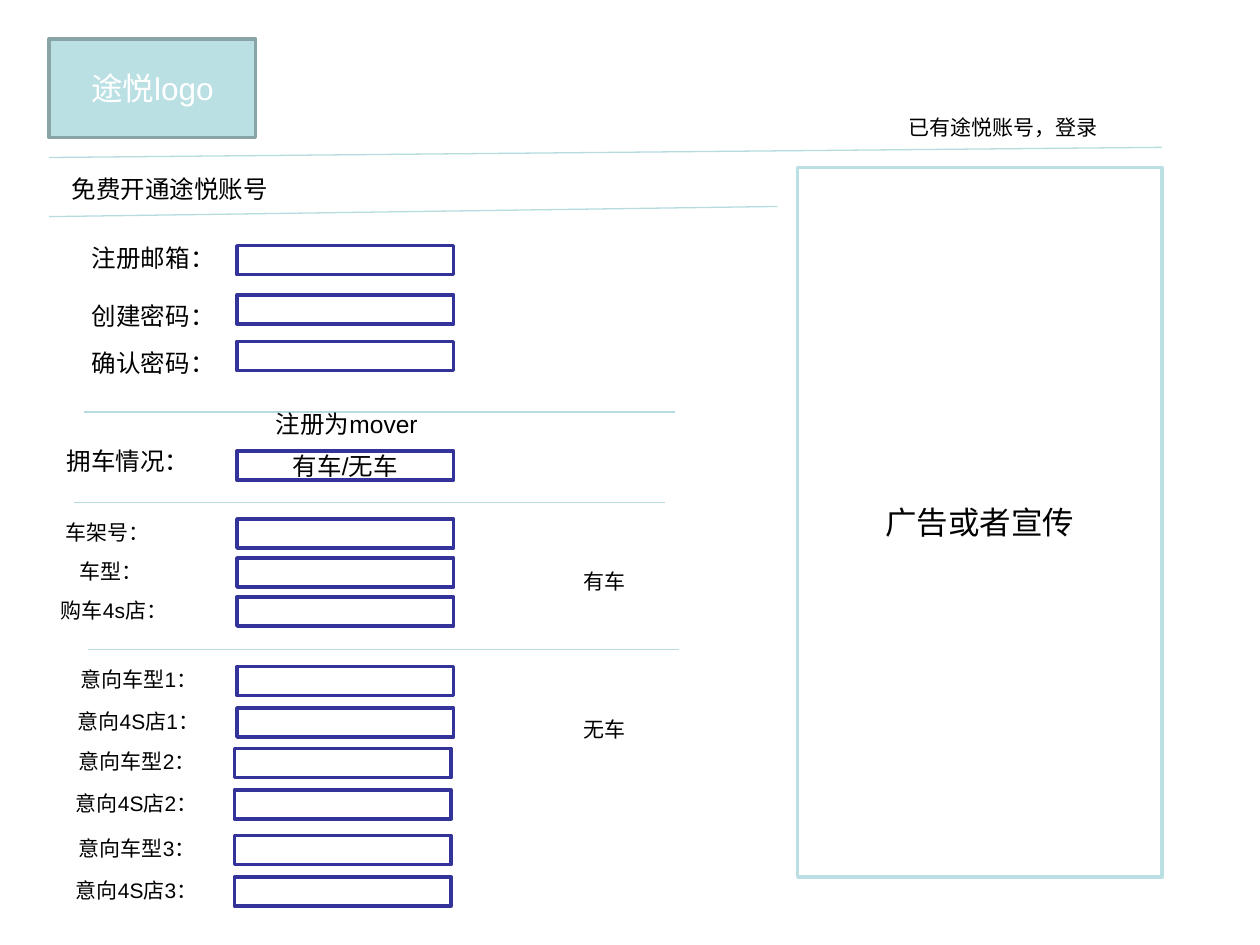
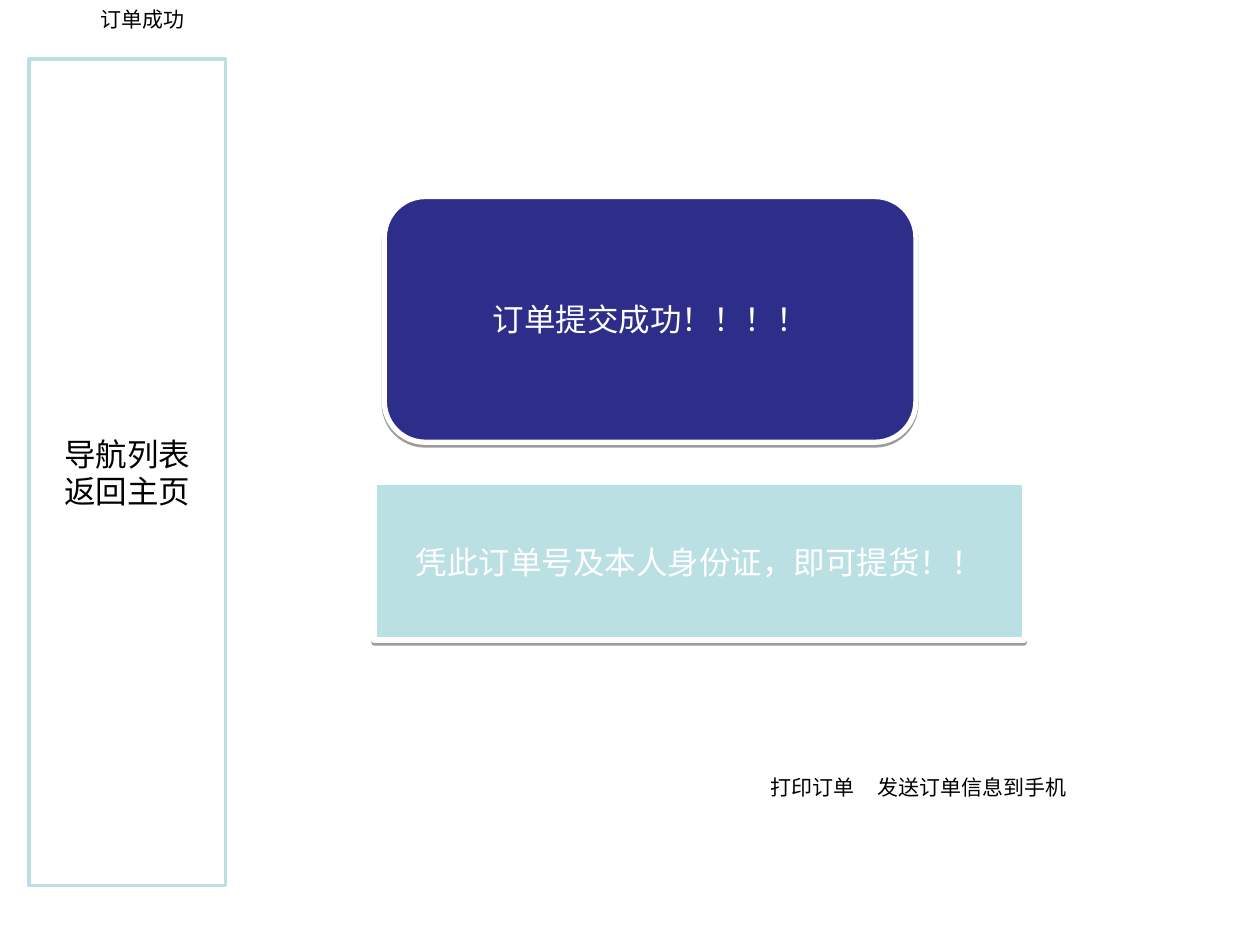
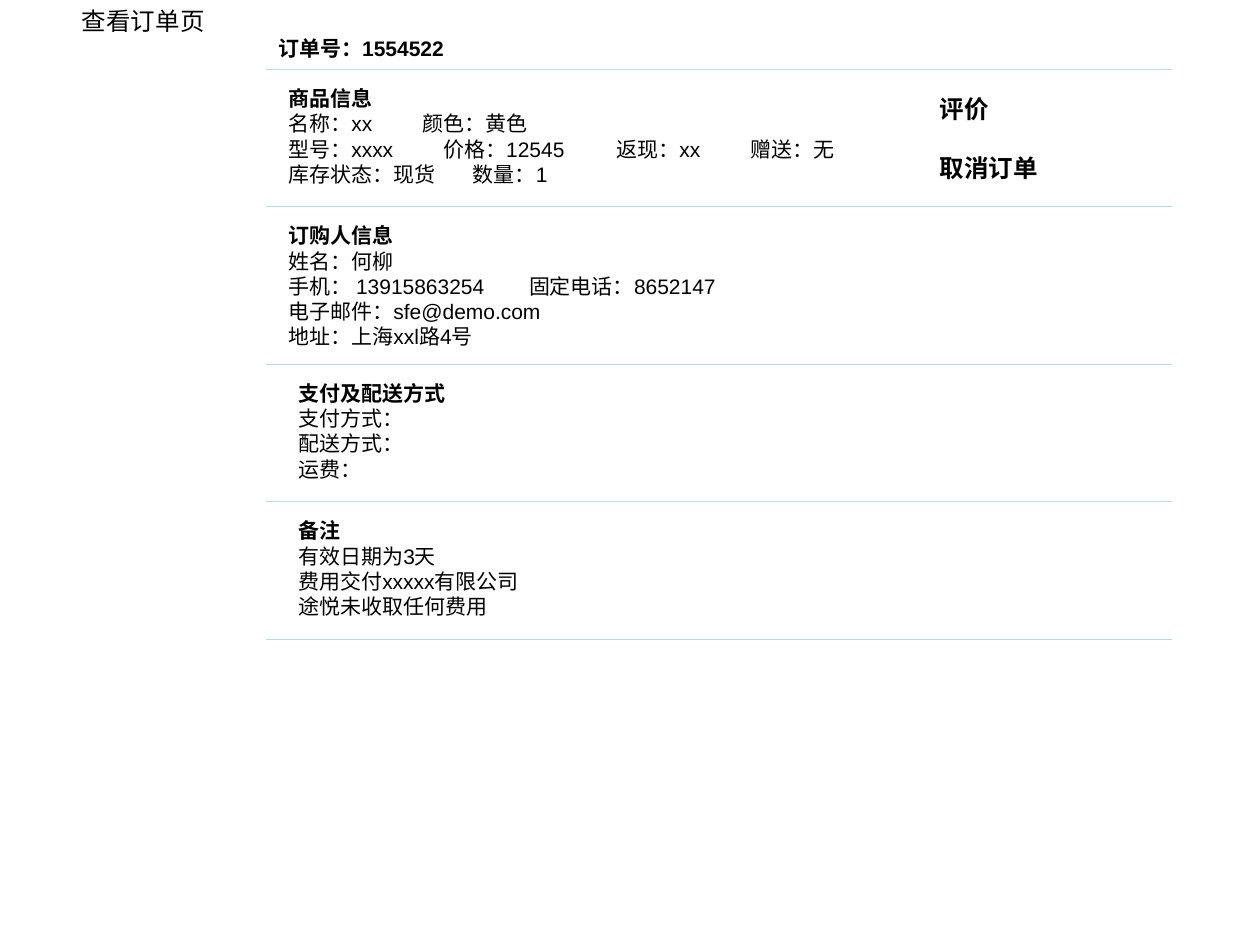
from lxml import etree
from pptx import Presentation
from pptx.dml.color import RGBColor
from pptx.enum import shapes, text as text_enum
from pptx.oxml import ns
from pptx.util import Pt

BLACK = RGBColor(0, 0, 0)
WHITE = RGBColor(255, 255, 255)
AQUA = RGBColor(0xBB, 0xE0, 0xE3)
AQUA_EDGE = RGBColor(0x89, 0xA4, 0xA7)
AQUA_LINE = RGBColor(0xB6, 0xDC, 0xDF)
INDIGO = RGBColor(0x33, 0x33, 0x99)
NAVY = RGBColor(0x2D, 0x2D, 0x8A)
FONT = "Arial"
RECTANGLE = shapes.MSO_SHAPE.RECTANGLE
ROUNDED = shapes.MSO_SHAPE.ROUNDED_RECTANGLE
FIELD_LEFT, FIELD_WIDTH, FIELD_HEIGHT = 135.4, 123.8, 16.6


def add_tabs(paragraph, positions):
    properties = paragraph._p.get_or_add_pPr()
    tab_list = etree.SubElement(properties, ns.qn("a:tabLst"))
    for position in positions:
        etree.SubElement(tab_list, ns.qn("a:tab"), pos=str(Pt(position)), algn="l")


def write_text(frame, text, size=12, color=BLACK, bold=False, heading=False,
               align=text_enum.PP_ALIGN.LEFT, anchor=text_enum.MSO_ANCHOR.TOP,
               gap=0, tabs=None):
    frame.word_wrap = True
    frame.auto_size = text_enum.MSO_AUTO_SIZE.NONE
    frame.vertical_anchor = anchor
    for index, line in enumerate(text.split("\n")):
        paragraph = frame.add_paragraph() if index else frame.paragraphs[0]
        if tabs and index in tabs:
            add_tabs(paragraph, tabs[index])
        paragraph.alignment = align
        if index and gap:
            paragraph.space_before = Pt(gap)
        run = paragraph.add_run()
        run.text = line
        run.font.name = FONT
        run.font.size = Pt(size)
        run.font.bold = bold or (heading and index == 0)
        run.font.color.rgb = color


def add_label(slide, left, top, width, height, text, **style):
    box = slide.shapes.add_textbox(Pt(left), Pt(top), Pt(width), Pt(height))
    write_text(box.text_frame, text, **style)


def add_title_slide(presentation, text, left, top, width, height, size):
    slide = presentation.slides.add_slide(presentation.slide_layouts[5])
    title = slide.shapes.title
    title.left, title.top = Pt(left), Pt(top)
    title.width, title.height = Pt(width), Pt(height)
    write_text(title.text_frame, text, size=size)
    return slide


def add_panel(slide, left, top, width, height, text="", kind=RECTANGLE,
              fill=WHITE, line=AQUA, weight=2, size=18, color=BLACK):
    shape = slide.shapes.add_shape(kind, Pt(left), Pt(top), Pt(width), Pt(height))
    shape.shadow.inherit = False
    shape.fill.solid()
    shape.fill.fore_color.rgb = fill
    shape.line.color.rgb = line
    shape.line.width = Pt(weight)
    if text:
        write_text(shape.text_frame, text, size=size, color=color,
                   align=text_enum.PP_ALIGN.CENTER,
                   anchor=text_enum.MSO_ANCHOR.MIDDLE)
    return shape


def add_notice(slide, left, top, width, height, text, kind, fill):
    shape = add_panel(slide, left, top, width, height, text, kind=kind,
                      fill=fill, line=WHITE, weight=3, color=WHITE)
    effects = shape._element.spPr.find(ns.qn("a:effectLst"))
    shadow = etree.SubElement(effects, ns.qn("a:outerShdw"), blurRad="0",
                              dist=str(Pt(1.6)), dir="5400000", rotWithShape="0")
    black = etree.SubElement(shadow, ns.qn("a:srgbClr"), val="000000")
    etree.SubElement(black, ns.qn("a:alpha"), val="38000")


def add_divider(slide, left, top, width, rise=0):
    line = slide.shapes.add_connector(shapes.MSO_CONNECTOR.STRAIGHT, Pt(left),
                                      Pt(top), Pt(left + width), Pt(top - rise))
    line.line.color.rgb = AQUA_LINE
    line.line.width = Pt(0.75)
    etree.SubElement(line._element.spPr, ns.qn("a:effectLst"))


def add_field(slide, label, top, label_left, label_rise=3.4, size=12,
              field_left=FIELD_LEFT, value=""):
    add_label(slide, label_left, top - label_rise, 110, 24, label, size=size)
    add_panel(slide, field_left, top, FIELD_WIDTH, FIELD_HEIGHT, value,
              line=INDIGO, size=14)


def add_account_fields(slide, left, top):
    rows = (("注册邮箱：", 0, 5), ("创建密码：", 28.1, 0), ("确认密码：", 54.7, 0))
    for label, offset, rise in rows:
        add_field(slide, label, top + offset, left, rise, size=14)


def add_owner_fields(slide, left, top):
    rows = (("车架号：", 2.6), ("车型：", 10.6), ("购车4s店：", 0))
    for row, (label, indent) in enumerate(rows):
        add_field(slide, label, top + row * 22.3, left + indent)
    add_label(slide, 326.2, top + 24.5, 101.5, 22, "有车")


def add_wish_fields(slide, left, top):
    pairs = ((0, 0), (46.8, -1), (96.5, -1))
    for number, (offset, shift) in enumerate(pairs, 1):
        for row, (label, indent) in enumerate((("意向车型", 1.7), ("意向4S店", 0))):
            add_field(slide, f"{label}{number}：", top + offset + row * 23.7,
                      left + indent + shift, field_left=FIELD_LEFT + shift * 1.4)
    add_label(slide, 326.2, top + 25.2, 101.5, 22, "无车")


def build_registration(presentation):
    slide = add_title_slide(presentation, "免费开通途悦账号", 33.8, 95.8, 230, 24.5, 14)
    add_panel(slide, 28.1, 22.3, 118.1, 56.2, "途悦logo", fill=AQUA,
              line=AQUA_EDGE, color=WHITE)
    add_label(slide, 511.9, 61.9, 151.9, 21.6, "已有途悦账号，登录")
    add_panel(slide, 455.8, 95.8, 208.1, 405.4, "广告或者宣传")
    for left, top, width, rise in ((28.1, 90, 635.8, 5.8), (28.1, 123.8, 416.2, 5.8),
                                   (48.2, 235.4, 337.7, 0), (42.5, 287.1, 337.7, 0),
                                   (50.4, 371.2, 337.7, 0)):
        add_divider(slide, left, top, width, rise)
    add_account_fields(slide, 45.4, 140.4)
    add_label(slide, 150.5, 230.4, 101.5, 24.5, "注册为mover", size=14)
    add_field(slide, "拥车情况：", 257.8, 31, 6.5, size=14, value="有车/无车")
    add_owner_fields(slide, 27.7, 296.6)
    add_wish_fields(slide, 37.3, 380.9)


def build_confirmation(presentation):
    slide = add_title_slide(presentation, "订单成功", 50.4, 0, 118, 21.6, 12)
    add_panel(slide, 16.6, 33.8, 112.3, 472.3, "导航列表\n返回主页")
    add_notice(slide, 219.6, 112.3, 303.8, 140.4, "订单提交成功！！！！", ROUNDED, NAVY)
    add_notice(slide, 213.8, 275.8, 371.5, 90,
               "凭此订单号及本人身份证，即可提货！！", RECTANGLE, AQUA)
    add_label(slide, 433.4, 439.2, 280, 21.6, "打印订单\t发送订单信息到手机",
              tabs={0: (61,)})


def add_order_section(slide, left, top, width, text, tabs=None):
    add_divider(slide, 151.9, top, 517.7)
    add_label(slide, left, top + 5.8, width, 80, text, heading=True, tabs=tabs)


def build_order(presentation):
    slide = add_title_slide(presentation, "查看订单页", 39.6, 0, 208, 24.5, 14)
    add_label(slide, 151.9, 16.6, 152, 36, "订单号：1554522", bold=True)
    add_order_section(
        slide, 157.7, 39.6, 365,
        "商品信息\n名称：xx\t颜色：黄色\n"
        "型号：xxxx\t价格：12545\t返现：xx\t赠送：无\n库存状态：现货\t数量：1",
        {1: (76.5,), 2: (88.5, 187.5, 264), 3: (105.5,)})
    add_order_section(
        slide, 157.7, 118.1, 500,
        "订购人信息\n姓名：何柳\n手机： 13915863254\t固定电话：8652147\n"
        "电子邮件：sfe@demo.com\n地址：上海xxl路4号", {2: (137.5,)})
    add_order_section(slide, 163.4, 208.1, 440,
                      "支付及配送方式\n支付方式：\n配送方式：\n运费：")
    add_order_section(slide, 163.4, 286.6, 440,
                      "备注\n有效日期为3天\n费用交付xxxxx有限公司\n途悦未收取任何费用")
    add_divider(slide, 151.9, 365.5, 517.7)
    add_label(slide, 529.9, 50.4, 117, 57.6, "评价\n取消订单", size=14,
              bold=True, gap=16.9)


def main():
    presentation = Presentation()
    presentation.slide_width, presentation.slide_height = Pt(720), Pt(540)
    build_registration(presentation)
    build_confirmation(presentation)
    build_order(presentation)
    presentation.save("out.pptx")


if __name__ == "__main__":
    main()
